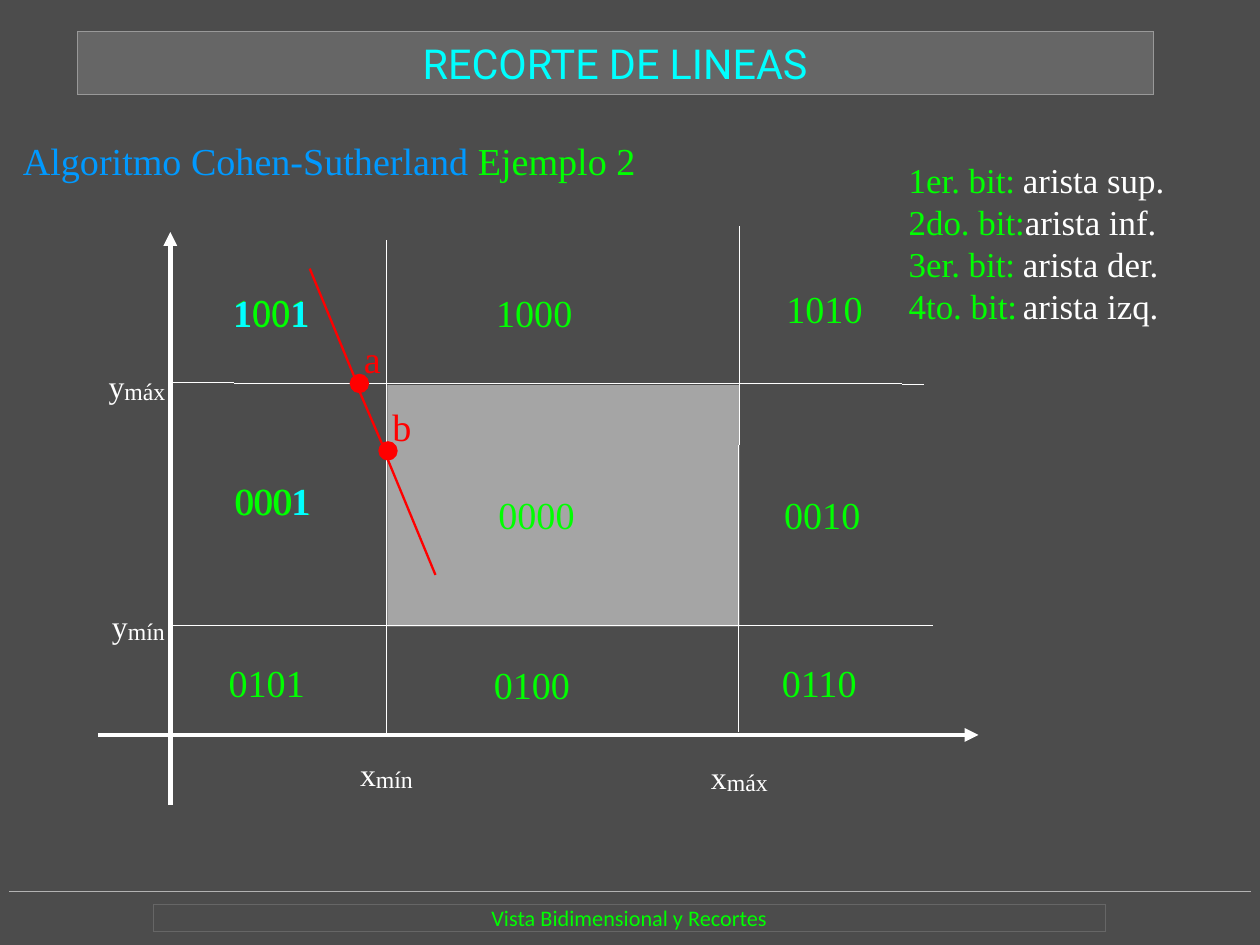
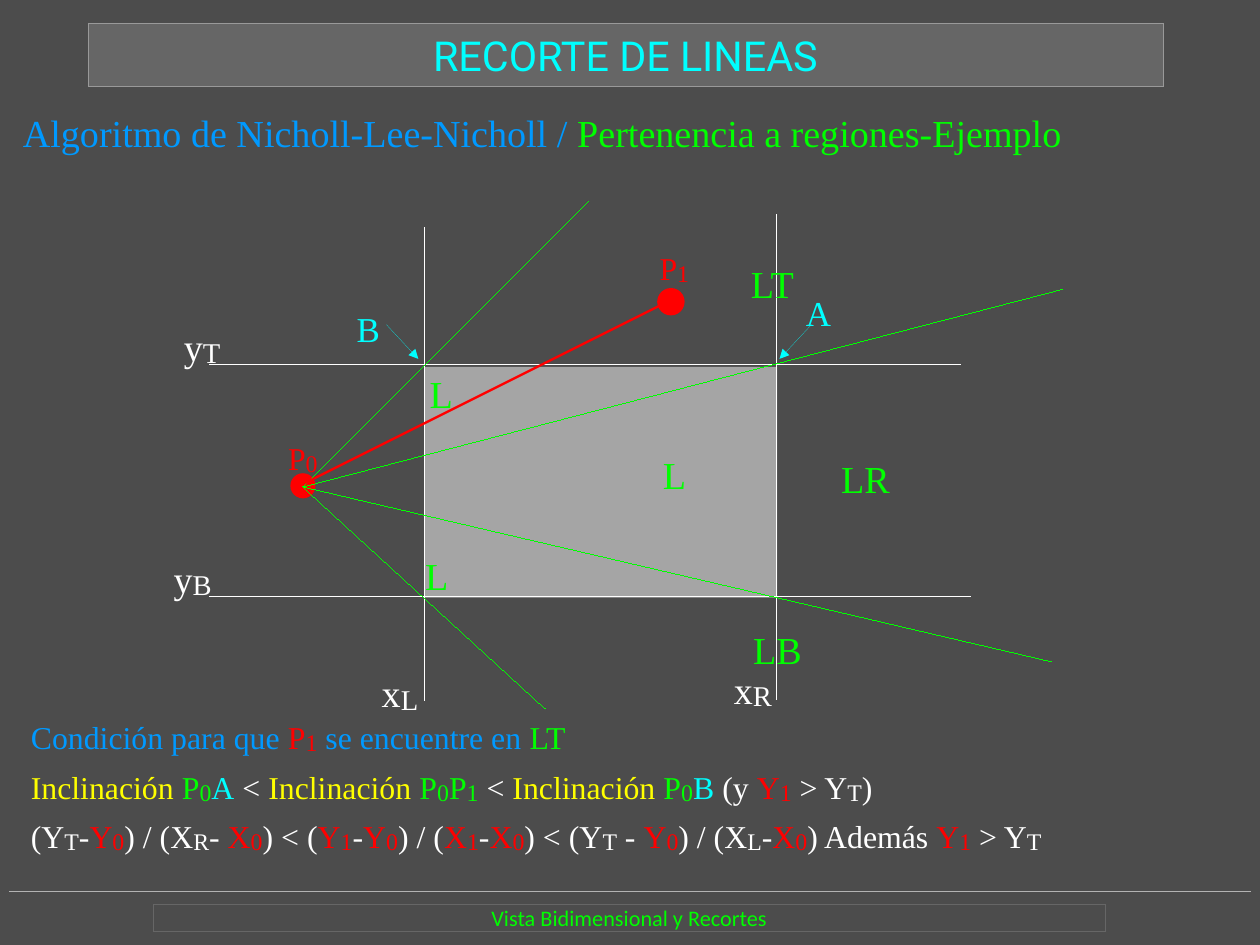
from lxml.etree import SubElement
from pptx import Presentation
from pptx.dml.color import RGBColor
from pptx.enum.shapes import MSO_CONNECTOR, MSO_SHAPE
from pptx.enum.text import MSO_ANCHOR, MSO_AUTO_SIZE, PP_ALIGN
from pptx.oxml.ns import qn
from pptx.util import Cm, Inches, Pt

BACKDROP = RGBColor(0x4C, 0x4C, 0x4C)
BAND = RGBColor(0x66, 0x66, 0x66)
BAND_EDGE = RGBColor(0x99, 0x99, 0x99)
RULE = RGBColor(0xB3, 0xB3, 0xB3)
WHITE = RGBColor(0xFF, 0xFF, 0xFF)
GREEN = RGBColor(0x00, 0xFF, 0x00)
CYAN = RGBColor(0x00, 0xFF, 0xFF)
BLUE = RGBColor(0x00, 0x99, 0xFF)
RED = RGBColor(0xFF, 0x00, 0x00)
YELLOW = RGBColor(0xFF, 0xFF, 0x00)

SERIF = "Times New Roman"
SUBSCRIPT_SIZES = {20: 25.9, 24: 31}
HAIRLINE, STROKE, AXIS = 0.01, 1.45, 2.89
FRAME = dict(margin_left=0, margin_top=0, margin_right=0, margin_bottom=0,
             word_wrap=True, auto_size=MSO_AUTO_SIZE.NONE)


def write(frame, paragraphs, size, face=SERIF, **frame_format):
    """Fill a frame with paragraphs of (text, colour[, bold]) runs; underscores enclose subscripts."""
    for key, value in {**FRAME, **frame_format}.items():
        setattr(frame, key, value)
    for index, runs in enumerate(paragraphs):
        paragraph = frame.paragraphs[0] if index == 0 else frame.add_paragraph()
        for text, colour, *bold in runs:
            for part, piece in enumerate(text.split("_")):
                if not piece:
                    continue
                run = paragraph.add_run()
                run.text = piece
                run.font.name = face
                run.font.size = Pt(size)
                run.font.bold = bool(bold)
                run.font.color.rgb = colour
                if part % 2:
                    run.font.size = Pt(SUBSCRIPT_SIZES[size])
                    run._r.get_or_add_rPr().set("baseline", "-5000")


def draw_line(slide, start, end, colour, width=HAIRLINE, arrow=False):
    line = slide.shapes.add_connector(
        MSO_CONNECTOR.STRAIGHT, *[Inches(value) for value in (*start, *end)])
    line.line.color.rgb = colour
    line.line.width = Pt(width)
    properties = line.element.spPr
    if arrow:
        SubElement(properties.find(qn("a:ln")), qn("a:tailEnd"), type="triangle")
    SubElement(properties, qn("a:effectLst"))
    return line


# Each label: left, top, width, size, runs
cohen_sutherland = dict(
    title_at=(0.68, 0.28),
    subtitle_top=1.2,
    subtitle=[("Algoritmo Cohen-Sutherland", BLUE), (" Ejemplo 2", GREEN)],
    axes=[((1.49, 7.04), (1.49, 2.03)), ((0.86, 6.43), (8.56, 6.43))],
    edges=[((3.38, 2.1), (3.38, 6.42)), ((6.47, 1.98), (6.46, 6.4)),
           ((1.5, 3.35), (8.08, 3.36)), ((1.51, 5.47), (8.16, 5.47))],
    window=(3.39, 3.37, 3.08, 2.11),
    labels=[
        *[(left, top, 0.84, 20, [(name, WHITE)]) for left, top, name in (
            (3.15, 6.52, "x_mín"), (6.22, 6.55, "x_máx"),
            (0.95, 3.13, "y_máx"), (0.98, 5.23, "y_mín"))],
        *[(left, top, 1.08, 24, [(code, GREEN)]) for left, top, code in (
            (2.04, 2.52, "1001"), (4.34, 2.53, "1000"), (6.86 + 0.02, 2.5, "1010"),
            (2.06, 4.18, "0001"), (4.36, 4.3, "0000"), (6.86, 4.3, "0010"),
            (2, 5.77, "0101"), (4.32, 5.79, "0100"), (6.84, 5.77, "0110"))],
        (2.04, 2.53, 0.8, 24, [("1", CYAN, True), ("00", GREEN), ("1", CYAN, True)]),
        (2.05, 4.18, 0.9, 24, [("000", GREEN), ("1", CYAN, True)]),
        (3.1, 2.93, 0.27, 24, [(" a", RED)]),
        (3.35, 3.53, 0.27, 24, [(" b", RED)]),
    ],
    dots=[(3.06, 3.27, 0.17), (3.31, 3.86, 0.17)],
    rays=[],
    segments=[((2.71, 2.35), (3.13, 3.37)), ((3.13, 3.39), (3.38, 3.97)),
              ((3.38, 3.99), (3.81, 5.03))],
    pointers=[],
    note_at=(7.95, 1.39, 2.35, 1.48),
    note_size=22,
    note=[[(bit, GREEN), (edge, WHITE)] for bit, edge in (
        ("1er. bit:\t", "arista sup."), ("2do. bit:", "arista inf."),
        ("3er. bit:\t", "arista der."), ("4to. bit:\t", "arista izq."))],
)

P0 = (2.65, 4.26)
nicholl_lee_nicholl = dict(
    title_at=(0.77, 0.21),
    subtitle_top=0.96,
    subtitle=[("Algoritmo de Nicholl-Lee-Nicholl / ", BLUE),
              ("Pertenencia a regiones-Ejemplo", GREEN)],
    axes=[],
    edges=[((3.71, 1.99), (3.71, 6.13)), ((6.79, 1.88), (6.79, 6.12)),
           ((1.83, 3.19), (8.4, 3.19)), ((1.83, 5.22), (8.49, 5.22))],
    window=(3.72, 3.21, 3.08, 2.02),
    labels=[
        *[(left, top, 0.36, 24, [(name, WHITE)]) for left, top, name in (
            (3.34, 5.76, "x_L"), (6.42, 5.73, "x_R"),
            (1.61, 2.73, "y_T"), (1.52, 4.76, "y_B"))],
        *[(left, top, 0.57, 24, [(region, GREEN)]) for left, top, region in (
            (3.76, 3.24, "L"), (3.72, 4.83, "L"), (5.8, 3.95, "L"),
            (6.57, 2.28, "LT"), (6.59, 5.48, "LB"), (7.36, 3.98, "LR"))],
        (2.52, 3.76, 0.32, 20, [("P_0", RED)]),
        (5.77, 2.09, 0.32, 20, [("P_1", RED)]),
        (7.05, 2.55, 0.28, 22, [("A", CYAN)]),
        (3.12, 2.69, 0.28, 22, [("B", CYAN)]),
    ],
    dots=[(2.54, 4.14, 0.22), (5.75, 2.52, 0.24)],
    rays=[(P0, end) for end in ((5.15, 1.76), (9.3, 2.53), (9.2, 5.79), (4.77, 6.2))],
    segments=[((2.64, 4.24), (5.84, 2.64))],
    pointers=[((7.1, 2.84), (6.82, 3.14)), ((3.38, 2.84), (3.66, 3.14))],
    note_at=(0.27, 6.2, 10.46, 1.5),
    note_size=20,
    note=[
        [("Condición para que ", BLUE), ("P_1", RED), (" se encuentre en ", BLUE),
         ("LT", GREEN)],
        [("Inclinación", YELLOW), (" P_0", GREEN), ("A", CYAN), (" < ", WHITE),
         ("Inclinación", YELLOW), (" P_0_P_1", GREEN), (" < ", WHITE),
         ("Inclinación", YELLOW), (" P_0", GREEN), ("B ", CYAN), ("(y ", WHITE),
         ("Y_1", RED), (" > Y_T_)", WHITE)],
        [("(Y_T_-", WHITE), ("Y_0", RED), (") / (X_R_- ", WHITE), ("X_0", RED),
         (") < (", WHITE), ("Y_1", RED), ("-", WHITE), ("Y_0", RED), (") / (", WHITE),
         ("X_1", RED), ("-", WHITE), ("X_0", RED), (") < (Y_T_ - ", WHITE), ("Y_0", RED),
         (") / (X_L_-", WHITE), ("X_0", RED), (") Además ", WHITE), ("Y_1", RED),
         (" > Y_T", WHITE)],
    ],
)

prs = Presentation()
prs.slide_width, prs.slide_height = Cm(28), Cm(21)
backdrop = prs.slide_master.background.fill
backdrop.solid()
backdrop.fore_color.rgb = BACKDROP
layout = prs.slide_layouts[5]
for placeholder in list(layout.placeholders)[1:]:
    layout.shapes.element.remove(placeholder.element)

for number, content in enumerate((cohen_sutherland, nicholl_lee_nicholl)):
    slide = prs.slides.add_slide(layout)

    # The footer is built once and moved to the layout
    if number == 0:
        footer_rule = draw_line(slide, (0.08, 7.8), (10.94, 7.8), RULE)
        footer = slide.shapes.add_shape(
            MSO_SHAPE.RECTANGLE, Inches(1.34), Inches(7.91), Inches(8.33), Inches(0.24))
        footer.shadow.inherit = False
        footer.fill.background()
        footer.line.color.rgb = BAND
        footer.line.width = Pt(HAIRLINE)
        write(footer.text_frame, [[("Vista Bidimensional y Recortes", GREEN)]], 14, "Calibri",
              vertical_anchor=MSO_ANCHOR.MIDDLE)
        footer.text_frame.paragraphs[0].alignment = PP_ALIGN.CENTER
        for part in (footer_rule, footer):
            layout.shapes.element.append(part.element)

    title = slide.shapes.title
    title.left, title.top = [Inches(value) for value in content["title_at"]]
    title.width, title.height = Inches(9.41), Inches(0.55)
    title.fill.solid()
    title.fill.fore_color.rgb = BAND
    title.line.color.rgb = BAND_EDGE
    title.line.width = Pt(HAIRLINE)
    write(title.text_frame, [[("RECORTE DE LINEAS", CYAN)]], 26, "Roboto",
          vertical_anchor=MSO_ANCHOR.MIDDLE)
    title.text_frame.paragraphs[0].alignment = PP_ALIGN.CENTER

    for start, end in content["axes"]:
        draw_line(slide, start, end, WHITE, AXIS, arrow=True)
    for start, end in content["edges"]:
        draw_line(slide, start, end, WHITE)

    window = slide.shapes.add_shape(
        MSO_SHAPE.RECTANGLE, *[Inches(value) for value in content["window"]])
    window.shadow.inherit = False
    window.fill.solid()
    window.fill.fore_color.rgb = WHITE
    SubElement(window.element.spPr.find(".//" + qn("a:srgbClr")), qn("a:alpha"), val="50000")
    window.line.fill.background()

    texts = [((0.2, content["subtitle_top"], 9.96, 0.4), 24, [content["subtitle"]]),
             (content["note_at"], content["note_size"], content["note"])]
    texts += [((left, top, width, 0.45), size, [runs])
              for left, top, width, size, runs in content["labels"]]
    for place, size, paragraphs in texts:
        box = slide.shapes.add_textbox(*[Inches(value) for value in place])
        write(box.text_frame, paragraphs, size)

    for left, top, diameter in content["dots"]:
        dot = slide.shapes.add_shape(
            MSO_SHAPE.OVAL, Inches(left), Inches(top), Inches(diameter), Inches(diameter))
        dot.shadow.inherit = False
        dot.fill.solid()
        dot.fill.fore_color.rgb = RED
        dot.line.fill.background()

    for start, end in content["rays"]:
        draw_line(slide, start, end, GREEN)
    for start, end in content["segments"]:
        draw_line(slide, start, end, RED, STROKE)
    for start, end in content["pointers"]:
        draw_line(slide, start, end, CYAN, arrow=True)

prs.save("out.pptx")
